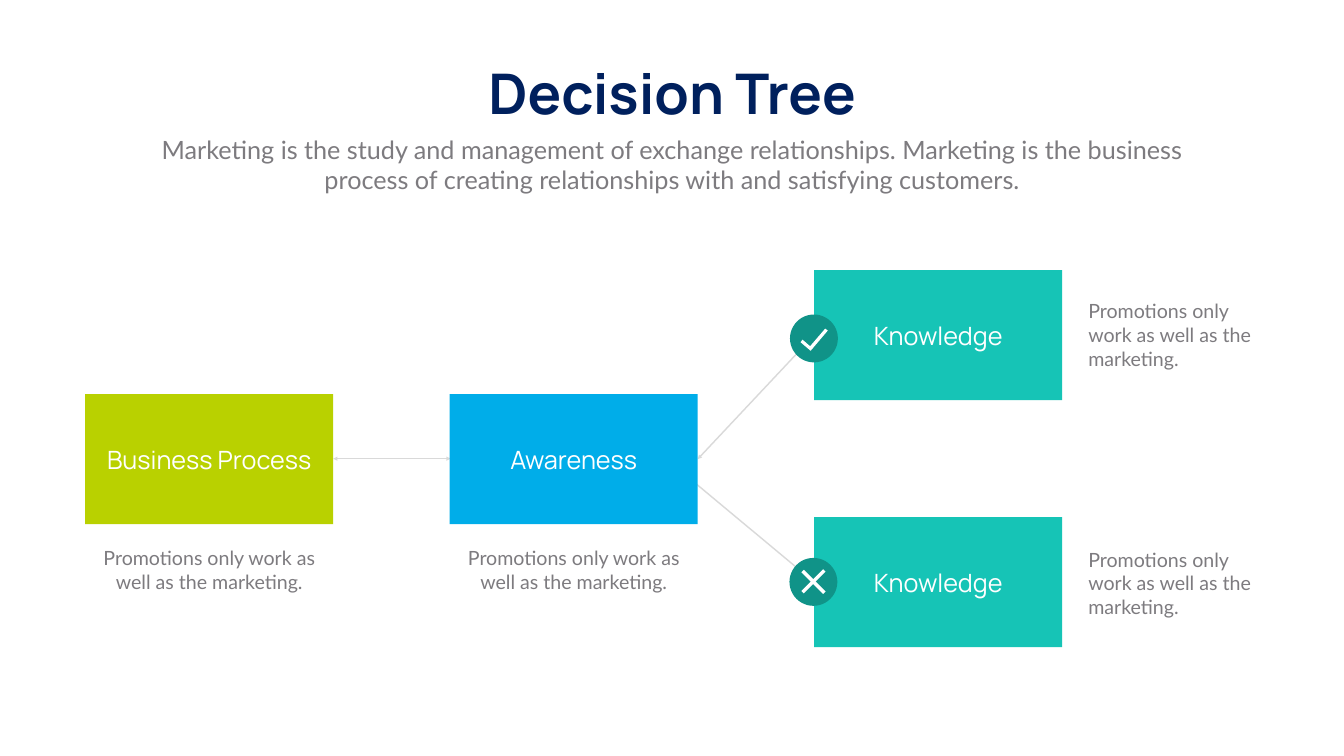
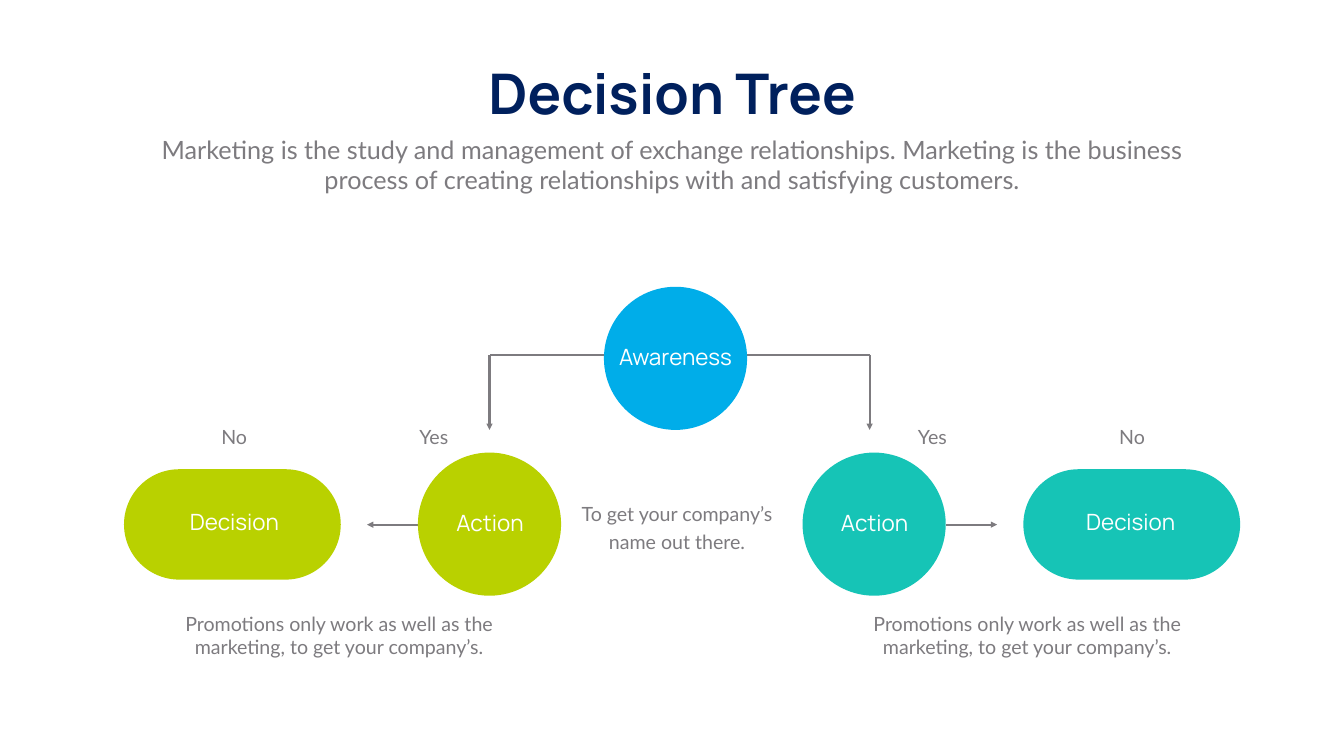
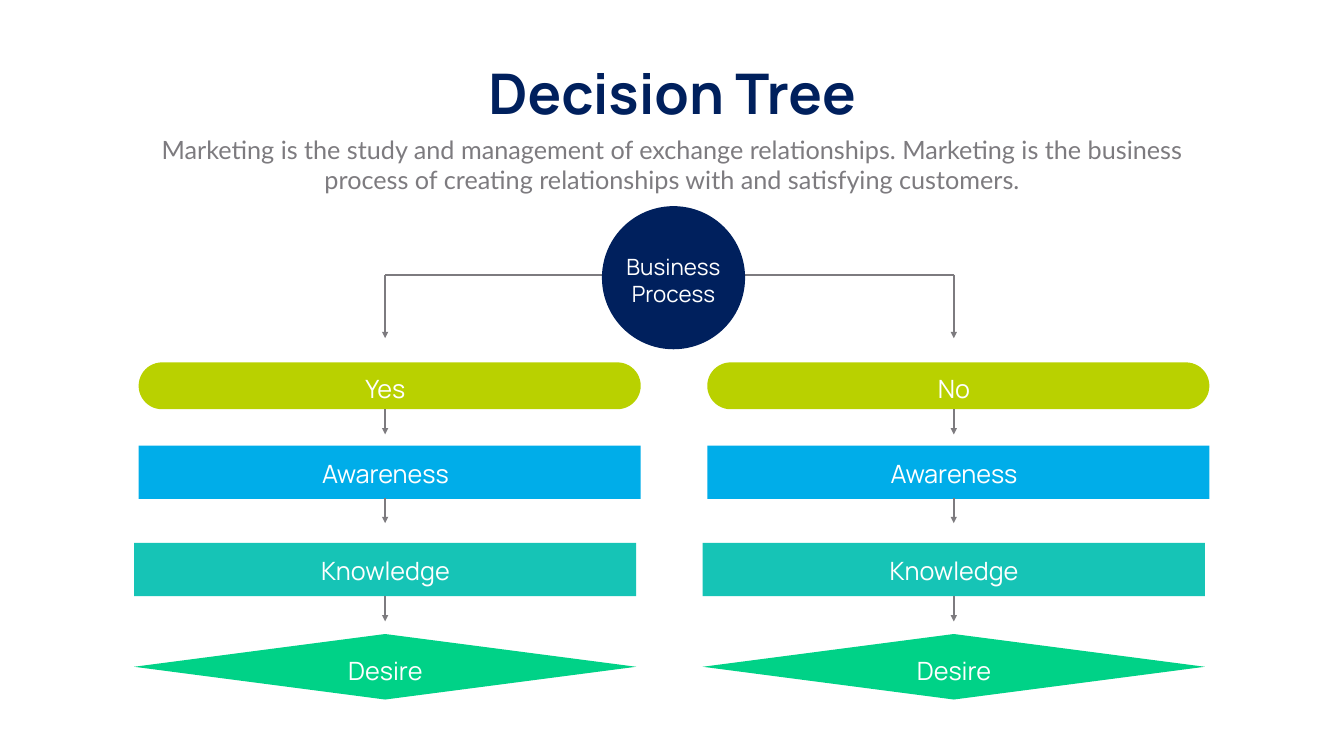
from lxml import etree
from pptx import Presentation
from pptx.dml.color import RGBColor
from pptx.enum.shapes import MSO_CONNECTOR, MSO_SHAPE
from pptx.enum.text import MSO_ANCHOR, MSO_AUTO_SIZE, PP_ALIGN
from pptx.oxml.ns import qn
from pptx.util import Inches, Pt

RECT, PILL = MSO_SHAPE.RECTANGLE, MSO_SHAPE.ROUNDED_RECTANGLE
OVAL, DIAMOND = MSO_SHAPE.OVAL, MSO_SHAPE.DIAMOND
STRAIGHT = MSO_CONNECTOR.STRAIGHT
LEFT, CENTER = PP_ALIGN.LEFT, PP_ALIGN.CENTER
MIDDLE, TOP = MSO_ANCHOR.MIDDLE, MSO_ANCHOR.TOP
FIT_SHAPE = MSO_AUTO_SIZE.SHAPE_TO_FIT_TEXT

NAVY, GREY, PALE, WHITE = "00205D", "7D7B7F", "D9D9D9", "FFFFFF"
LIME, BLUE, TEAL, DARK_TEAL, GREEN = "B9D100", "00ADE9", "16C4B6", "109388", "00D287"

STYLES = {
    "title": ({"name": "Manrope", "size": Pt(80), "bold": True}, NAVY),
    "intro": ({"name": "Lato", "size": Pt(36)}, GREY),
    "note": ({"name": "Lato", "size": Pt(28)}, GREY),
    "label": ({"name": "Manrope", "size": Pt(36)}, WHITE),
    "small label": ({"name": "Manrope", "size": Pt(32)}, WHITE),
}

TITLE = "Decision Tree"
INTRO = ("Marketing is the study and management of exchange relationships. "
         "Marketing is the business process of creating relationships with "
         "and satisfying customers.")
PROMOTION = "Promotions only work as well as the marketing."
PROMOTION_LONG = "Promotions only work as well as the marketing, to get your company’s."
COMPANY = "To get your company’s name out there."

# Slide 1: text, left, top, colour of each box; then its note's place and alignment
STAGE_SIZE = (4.92, 2.58)
STAGES = [
    ("Knowledge", 16.15, 5.36, TEAL, (21.49, 5.89, 3.77, 1.51), LEFT),
    ("Knowledge", 16.15, 10.26, TEAL, (21.49, 10.82, 3.77, 1.51), LEFT),
    ("Awareness", 8.92, 7.82, BLUE, (8.92, 10.79, 4.92, 1.04), CENTER),
    ("Business Process", 1.69, 7.82, LIME, (1.69, 10.79, 4.92, 1.04), CENTER),
]
STAGE_LINKS = [((16.15, 6.65), (13.84, 9.11)), ((16.15, 11.55), (13.22, 9.11)),
               ((8.94, 9.1), (6.61, 9.1))]
BADGE = 0.95
YES_BADGE, NO_BADGE = (15.67, 6.24), (15.66, 11.07)
CHECK_MARK = [(16.37, 6.52), (16.42, 6.56), (16.08, 6.96), (15.88, 6.79),
              (15.92, 6.74), (16.07, 6.87)]
CROSS_BARS = [(11.5, 315), (11.51, 45)]

# Slides 2 and 3
CIRCLE = 2.84
BRANCHES = [
    {"colour": LIME, "circle": 8.29, "pill": 2.46, "decision": 2.95,
     "yes": 7.83, "no": 3.87, "note": 3.29,
     "elbow": [(12.14, 7.04), (9.71, 7.04), (9.71, 8.53)],
     "arrow": [(8.29, 10.41), (7.28, 10.41)]},
    {"colour": TEAL, "circle": 15.92, "pill": 20.3, "decision": 20.73,
     "yes": 17.72, "no": 21.68, "note": 16.94,
     "elbow": [(14.82, 7.04), (17.25, 7.04), (17.25, 8.53)],
     "arrow": [(18.77, 10.41), (19.78, 10.41)]},
]

# Slide 3: shape, left in first column, top, height, colour, text top, text
STEP_WIDTH, COLUMN_STEP = 9.96, 11.28
STEPS = [
    (PILL, 2.75, 7.19, 0.93, LIME, 7.36, None),
    (RECT, 2.75, 8.84, 1.06, BLUE, 9.05, "Awareness"),
    (RECT, 2.66, 10.77, 1.06, TEAL, 10.96, "Knowledge"),
    (DIAMOND, 2.66, 12.58, 1.3, GREEN, 12.95, "Desire"),
]
ARROW_TOPS, ARROW_LENGTH = [8.12, 9.88, 11.83], 0.5
ANSWERS = [("Yes", 12.1), ("No", 14.78)]


def rgb(colour):
    return RGBColor.from_string(colour)


def paint(shape, colour):
    shape.shadow.inherit = False
    shape.fill.solid()
    shape.fill.fore_color.rgb = rgb(colour)
    shape.line.fill.background()


def write(frame, text, style, align):
    paragraph = frame.paragraphs[0]
    paragraph.text = text
    paragraph.alignment = align
    font_values, colour = STYLES[style]
    for attribute, value in font_values.items():
        setattr(paragraph.font, attribute, value)
    paragraph.font.color.rgb = rgb(colour)
    return paragraph


def add_text(slide, text, place, style, align=CENTER, wrap=True):
    frame = slide.shapes.add_textbox(*map(Inches, place)).text_frame
    frame.word_wrap = wrap
    frame.auto_size = FIT_SHAPE
    frame.vertical_anchor = TOP
    return write(frame, text, style, align)


def add_block(slide, preset, place, colour):
    shape = slide.shapes.add_shape(preset, *map(Inches, place))
    paint(shape, colour)
    if preset == PILL:
        shape.adjustments[0] = 0.5
    return shape


def add_circle(slide, left, top, colour, text, text_place):
    add_block(slide, OVAL, (left, top, CIRCLE, CIRCLE), colour)
    add_text(slide, text, text_place, "small label")


def add_line(slide, start, end, colour=GREY, width=3, arrows=("tailEnd",)):
    line = slide.shapes.add_connector(STRAIGHT, *map(Inches, (*start, *end)))
    line.line.color.rgb = rgb(colour)
    line.line.width = Pt(width)
    properties = line.line._get_or_add_ln()
    for arrow in arrows:
        etree.SubElement(properties, qn(f"a:{arrow}"), type="triangle")
    etree.SubElement(line._element.spPr, qn("a:effectLst"))


def add_elbow(slide, start, corner, end):
    add_line(slide, start, corner, arrows=())
    add_line(slide, corner, end)


def add_titled_slide(deck):
    slide = deck.slides.add_slide(deck.slide_layouts[6])
    add_text(slide, TITLE, (9.38, 1.12, 7.91, 1.45), "title", wrap=False)
    add_text(slide, INTRO, (2.92, 2.61, 20.82, 1.31), "intro")
    return slide


def build_stages(deck):
    slide = add_titled_slide(deck)
    for start, end in STAGE_LINKS:
        add_line(slide, start, end, PALE, 2, ("headEnd", "tailEnd"))
    for text, left, top, colour, note_place, note_align in STAGES:
        frame = add_block(slide, RECT, (left, top, *STAGE_SIZE), colour).text_frame
        frame.word_wrap = True
        frame.vertical_anchor = MIDDLE
        write(frame, text, "label", CENTER)
        add_text(slide, PROMOTION, note_place, "note", note_align)

    for corner in (YES_BADGE, NO_BADGE):
        add_block(slide, OVAL, (*corner, BADGE, BADGE), DARK_TEAL)
    start, *others = [(Inches(x), Inches(y)) for x, y in CHECK_MARK]
    outline = slide.shapes.build_freeform(*start)
    outline.add_line_segments(others)
    paint(outline.convert_to_shape(), WHITE)
    for top, angle in CROSS_BARS:
        add_block(slide, RECT, (15.83, top, 0.61, 0.07), WHITE).rotation = angle


def build_branches(deck):
    slide = add_titled_slide(deck)
    for branch in BRANCHES:
        add_elbow(slide, *branch["elbow"])
        add_line(slide, *branch["arrow"])
        add_block(slide, PILL, (branch["pill"], 9.31, 4.3, 2.19), branch["colour"])
        add_text(slide, "Decision", (branch["decision"], 10.04, 3.4, 0.64), "small label")
        add_circle(slide, branch["circle"], 8.98, branch["colour"], "Action",
                   (branch["circle"] - 0.27, 10.05, 3.4, 0.64))
        for answer in ("Yes", "No"):
            add_text(slide, answer, (branch[answer.lower()], 8.38, 1.55, 0.57), "note")
        add_text(slide, PROMOTION_LONG, (branch["note"], 12.09, 6.87, 1.04), "note")
    add_circle(slide, 11.98, 5.69, BLUE, "Awareness", (11.7, 6.75, 3.4, 0.64))
    company = add_text(slide, COMPANY, (11.41, 9.8, 4.04, 1.19), "note")
    company.line_spacing = Pt(40.8)


def build_columns(deck):
    slide = add_titled_slide(deck)
    for column, (answer, elbow_start) in enumerate(ANSWERS):
        shift = column * COLUMN_STEP
        middle = 7.64 + shift
        for preset, left, top, height, colour, text_top, text in STEPS:
            add_block(slide, preset, (left + shift, top, STEP_WIDTH, height), colour)
            add_text(slide, text or answer, (5.44 + shift, text_top, 4.41, 0.71), "label")
        for top in ARROW_TOPS:
            add_line(slide, (middle, top), (middle, top + ARROW_LENGTH))
        add_elbow(slide, (elbow_start, 5.45), (middle, 5.45), (middle, 6.71))
    add_circle(slide, 11.94, 4.09, NAVY, "Business Process", (11.66, 4.97, 3.4, 1.18))


def main():
    deck = Presentation()
    deck.slide_width, deck.slide_height = Inches(26.66), Inches(15)
    build_stages(deck)
    build_branches(deck)
    build_columns(deck)
    deck.save("out.pptx")


if __name__ == "__main__":
    main()
